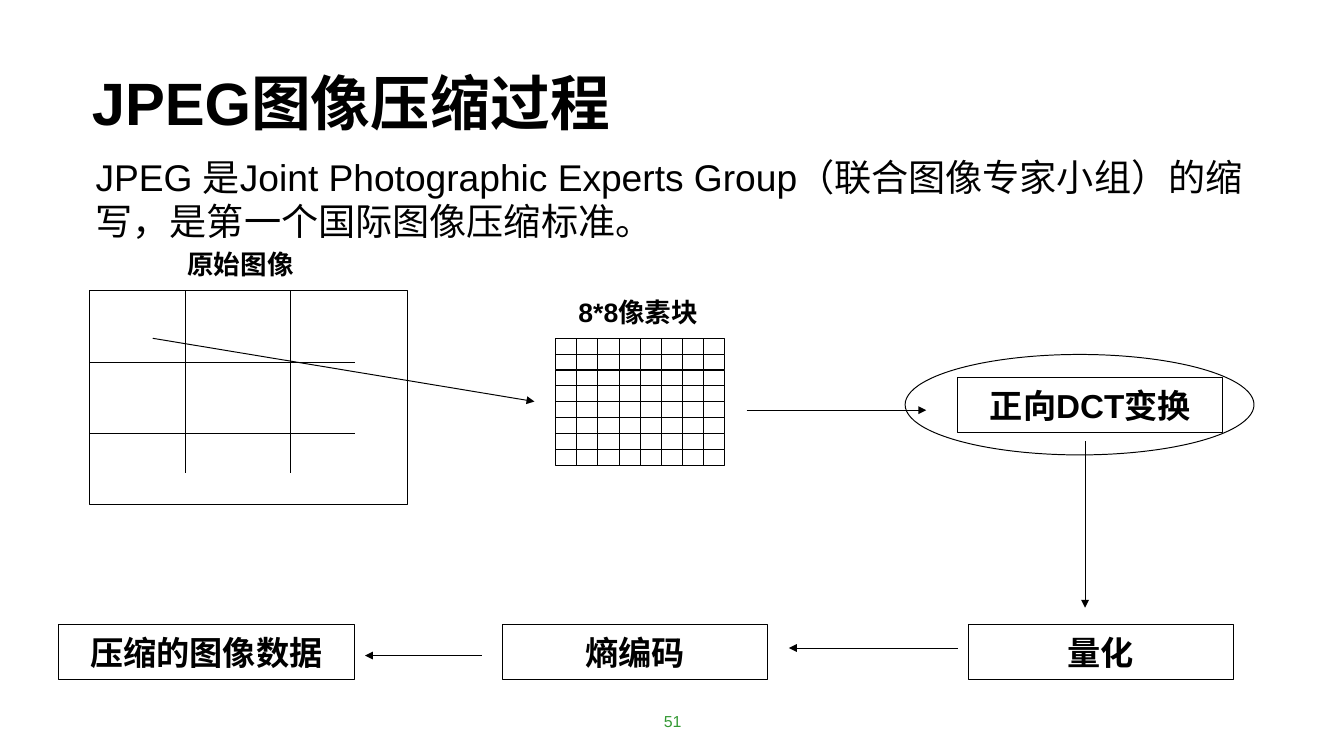
from lxml import etree
from pptx import Presentation, util as u
from pptx.dml.color import RGBColor
from pptx.enum import shapes, text
from pptx.oxml.ns import qn

COLORS = {"ink": "000000", "paper": "FFFFFF", "page": "339933"}
LINE_WIDTH = u.Pt(0.75)
RECT = shapes.MSO_SHAPE.RECTANGLE
STEP_TOP, STEP_WIDTH, STEP_HEIGHT = 16.59, 7.04, 1.47


def color(name):
    return RGBColor.from_string(COLORS[name])


def cm(*lengths):
    return [u.Cm(length) for length in lengths]


def write(frame, words, size, bold=False, ink="ink", align=None,
          anchor=text.MSO_ANCHOR.TOP, wrap=True, grow=False):
    frame.word_wrap = wrap
    frame.auto_size = (text.MSO_AUTO_SIZE.SHAPE_TO_FIT_TEXT if grow
                       else text.MSO_AUTO_SIZE.NONE)
    frame.vertical_anchor = anchor
    frame.margin_left = frame.margin_right = u.Cm(0.33)
    frame.margin_top = frame.margin_bottom = u.Cm(0.15)
    paragraph = frame.paragraphs[0]
    paragraph.alignment = align
    run = paragraph.add_run()
    run.text = words
    run.font.name = "Arial"
    run.font.size = u.Pt(size)
    run.font.bold = bold
    run.font.color.rgb = color(ink)


def add_text(slide, place, words, size, **style):
    box = slide.shapes.add_textbox(*cm(*place))
    write(box.text_frame, words, size, **style)


def add_outline(parent, kind, place, filled=True):
    outline = parent.shapes.add_shape(kind, *cm(*place))
    outline.shadow.inherit = False
    if filled:
        outline.fill.solid()
        outline.fill.fore_color.rgb = color("paper")
    else:
        outline.fill.background()
    outline.line.color.rgb = color("ink")
    outline.line.width = LINE_WIDTH
    return outline


def add_step(slide, left, top, words, width=STEP_WIDTH):
    step = add_outline(slide, RECT, (left, top, width, STEP_HEIGHT))
    write(step.text_frame, words, 25, bold=True, wrap=False,
          align=text.PP_ALIGN.CENTER, anchor=text.MSO_ANCHOR.MIDDLE)


def add_line(slide, start, end, arrow=False):
    line = slide.shapes.add_connector(
        shapes.MSO_CONNECTOR.STRAIGHT, *cm(*start, *end))
    line.line.color.rgb = color("ink")
    line.line.width = LINE_WIDTH
    if arrow:
        etree.SubElement(line.line._get_or_add_ln(), qn("a:tailEnd"),
                         type="triangle")
    etree.SubElement(line._element.spPr, qn("a:effectLst"))


def add_pixel_block(slide, left, top, width, height, count=8):
    """Draw a grouped square grid of count by count pixels."""
    block = slide.shapes.add_group_shape()
    pixel_width, pixel_height = width / count, height / count
    for row in range(count):
        for column in range(count):
            add_outline(block, RECT, (left + column * pixel_width,
                                      top + row * pixel_height,
                                      pixel_width, pixel_height))


def add_source_image(slide):
    left, top = 2.39, 7.72
    add_outline(slide, RECT, (left, top, 8.43, 5.69))
    for y in (9.63, 11.53):
        add_line(slide, (left, y), (9.42, y))
    for x in (4.93, 7.72):
        add_line(slide, (x, top), (x, 12.57))


def main():
    deck = Presentation()
    deck.slide_width, deck.slide_height = cm(35.71, 20.09)
    slide = deck.slides.add_slide(deck.slide_layouts[6])

    add_text(slide, (2.11, 1.6, 20.9, 2.24), "JPEG图像压缩过程", 45,
             bold=True, grow=True)
    add_text(slide, (2.21, 3.94, 32.05, 2.72),
             "JPEG 是Joint Photographic Experts Group（联合图像专家小组）"
             "的缩写，是第一个国际图像压缩标准。", 28, grow=True)

    add_source_image(slide)
    add_pixel_block(slide, 14.76, 8.99, 4.5, 3.37)
    for left, top, label in ((4.65, 6.45, "原始图像"),
                             (15.04, 7.72, "8*8像素块")):
        add_text(slide, (left, top, 5.99, 1.17), label, 20,
                 bold=True, grow=True)

    add_step(slide, 25.45, 10.03, "正向DCT变换")
    add_outline(slide, shapes.MSO_SHAPE.OVAL, (24.05, 9.42, 9.27, 2.67),
                filled=False)
    add_step(slide, 25.73, STEP_TOP, "量化")
    add_step(slide, 13.36, STEP_TOP, "熵编码")
    add_step(slide, 1.55, STEP_TOP, "压缩的图像数据", width=7.87)

    for start, end in (((4.06, 8.99), (14.2, 10.67)),
                       ((19.84, 10.9), (24.61, 10.9)),
                       ((28.83, 11.73), (28.83, 16.15)),
                       ((25.45, 17.22), (20.96, 17.22)),
                       ((12.8, 17.42), (9.7, 17.42))):
        add_line(slide, start, end, arrow=True)

    add_text(slide, (11.84, 18.62, 12.07, 1.07), "51", 12, ink="page",
             align=text.PP_ALIGN.CENTER, anchor=text.MSO_ANCHOR.MIDDLE)
    deck.save("out.pptx")


if __name__ == "__main__":
    main()
